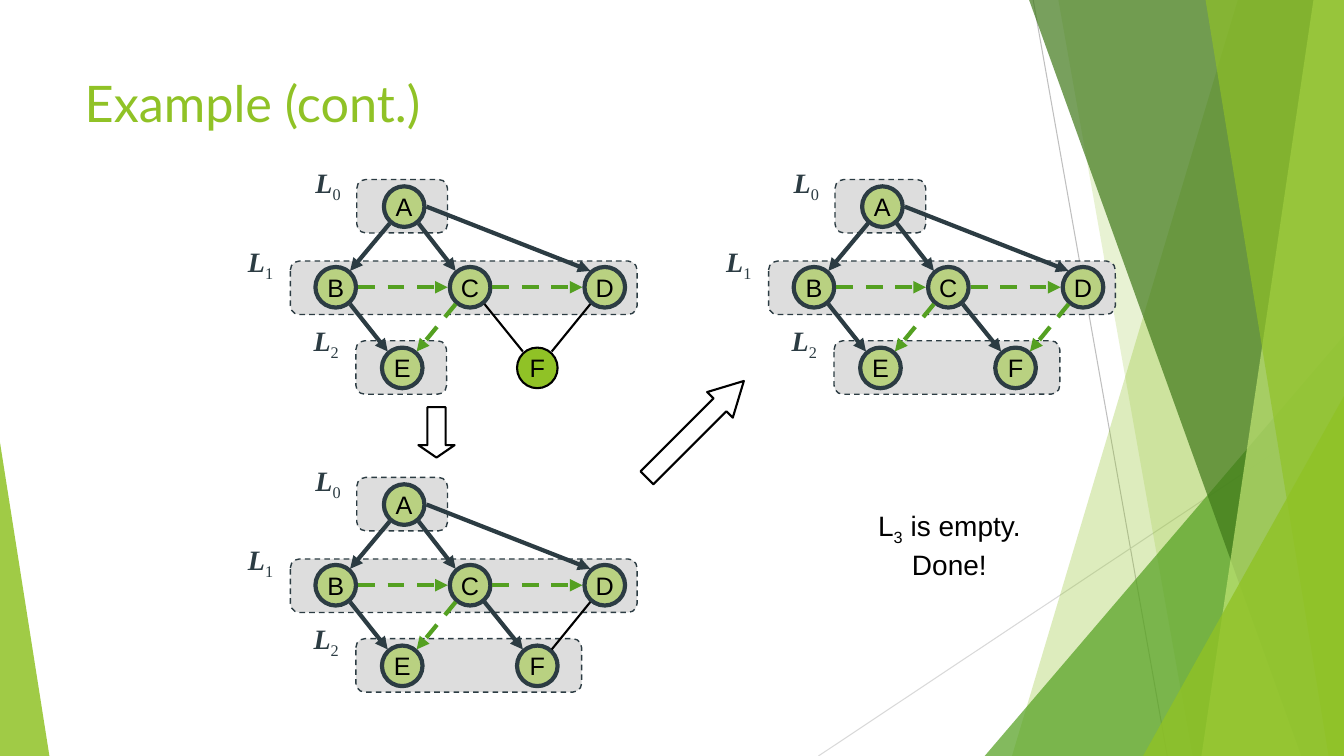
from lxml import etree
from pptx import Presentation
from pptx import util as u
from pptx.dml.color import RGBColor
from pptx.enum import dml, shapes, text
from pptx.oxml.ns import qn

LIME = RGBColor(0x90, 0xC2, 0x26)
GREEN = RGBColor(0x54, 0xA0, 0x21)
FOREST = RGBColor(0x3F, 0x78, 0x19)
PALE_LIME = RGBColor(0xC0, 0xE4, 0x74)
NODE_GREEN = RGBColor(0xB9, 0xD1, 0x81)
SLATE = RGBColor(0x2C, 0x3C, 0x43)
BAND_GREY = RGBColor(0xDD, 0xDD, 0xDD)
RULE_GREY = RGBColor(0xBF, 0xBF, 0xBF)
LIGHT_GREY = RGBColor(0xD9, 0xD9, 0xD9)
BLACK = RGBColor(0, 0, 0)

NODE_SIZE = 29
NODES = {"A": (288.7, 147.6), "B": (239.8, 205.2), "C": (335.8, 205.2),
         "D": (432, 205.2), "E": (287.3, 262.8), "F": (383.8, 262.8)}
BAND_HEIGHT = 38.2
BANDS = [(254.9, 128.2, 64.8), (207.4, 186.5, 247.7), (254.2, 243.4, 64.8)]
WIDE_BAND = 161.3
LEVEL_LABELS = [(216, 114.5), (167.8, 171.4), (214.6, 227.5)]
TREE, CROSS, UNSEEN = (SLATE, 3, False, True), (GREEN, 3, True, True), (BLACK, 1.5, False, False)
EDGES = [("AB", TREE), ("AC", TREE), ("AD", TREE), ("BC", CROSS),
         ("CD", CROSS), ("BE", TREE), ("CE", CROSS)]


class SlideBuilder:
    """Draws styled elements on the current slide, with lengths in points."""

    def __init__(self, presentation):
        self.slide = presentation.slides.add_slide(presentation.slide_layouts[5])
        self.shapes = self.slide.shapes

    def style(self, shape, fill=None, opacity=100, line=None, width=1, dashed=False):
        shape.shadow.inherit = False
        if fill is None:
            shape.fill.background()
        else:
            shape.fill.solid()
            shape.fill.fore_color.rgb = fill
            if opacity < 100:
                color = shape.element.spPr.find(qn("a:solidFill"))[0]
                etree.SubElement(color, qn("a:alpha"), val=str(opacity * 1000))
        if line is None:
            shape.line.fill.background()
        else:
            self.stroke(shape.line, line, width, dashed)

    def stroke(self, line, color, width, dashed):
        line.color.rgb = color
        line.width = u.Pt(width)
        if dashed:
            line.dash_style = dml.MSO_LINE.DASH

    def font(self, run, size, name, color):
        run.font.size = u.Pt(size)
        run.font.name = name
        run.font.color.rgb = color

    def title(self, wording, *box):
        shape = self.shapes.title
        shape.left, shape.top, shape.width, shape.height = map(u.Pt, box)
        frame = shape.text_frame
        frame.text = wording
        frame.auto_size = text.MSO_AUTO_SIZE.NONE
        frame.vertical_anchor = text.MSO_ANCHOR.TOP
        frame.paragraphs[0].alignment = text.PP_ALIGN.LEFT
        self.font(frame.paragraphs[0].runs[0], 36, "Lato", LIME)

    def preset(self, kind, box, adjustments=(), rotation=0, **style):
        shape = self.shapes.add_shape(kind, *map(u.Pt, box))
        for index, value in enumerate(adjustments):
            shape.adjustments[index] = value
        shape.rotation = rotation
        self.style(shape, **style)
        return shape

    def polygon(self, points, fill, opacity):
        corners = [(u.Pt(x), u.Pt(y)) for x, y in points]
        builder = self.shapes.build_freeform(*corners[0])
        builder.add_line_segments(corners[1:], close=True)
        self.style(builder.convert_to_shape(), fill=fill, opacity=opacity)

    def line(self, start, end, color, width, dashed=False, arrow=False):
        connector = self.shapes.add_connector(
            shapes.MSO_CONNECTOR.STRAIGHT, *map(u.Pt, (*start, *end)))
        self.stroke(connector.line, color, width, dashed)
        properties = connector.element.spPr
        if arrow:
            etree.SubElement(properties.find(qn("a:ln")), qn("a:tailEnd"), type="triangle")
        etree.SubElement(properties, qn("a:effectLst"))

    def label(self, parts, box, name, color, emphasis=False):
        frame = self.shapes.add_textbox(*map(u.Pt, box)).text_frame
        frame.word_wrap = True
        paragraph = frame.paragraphs[0]
        paragraph.alignment = text.PP_ALIGN.CENTER
        for index, part in enumerate(parts):
            run = paragraph.add_run()
            run.text = part
            self.font(run, 20, name, color)
            run.font.bold = run.font.italic = emphasis and index == 0
            if index == 1:
                run.font._element.set("baseline", "-25000")

    def node(self, letter, center, fill, line, width):
        x, y = center
        box = (x - NODE_SIZE / 2, y - NODE_SIZE / 2, NODE_SIZE, NODE_SIZE)
        shape = self.preset(shapes.MSO_SHAPE.OVAL, box, fill=fill, line=line, width=width)
        frame = shape.text_frame
        frame.text = letter
        frame.word_wrap = False
        frame.vertical_anchor = text.MSO_ANCHOR.MIDDLE
        frame.paragraphs[0].alignment = text.PP_ALIGN.CENTER
        self.font(frame.paragraphs[0].runs[0], 18, "Arial", BLACK)

    def edge(self, start, end, style):
        (x1, y1), (x2, y2) = start, end
        side = 1 if x2 > x1 else -1
        leave = (16 * side, 0) if abs(x2 - x1) > 2 * abs(y2 - y1) else (10.3 * side, 12)
        arrive = (16 * side, 0) if y1 == y2 else (10.3 * side, 11.7)
        self.line((x1 + leave[0], y1 + leave[1]), (x2 - arrive[0], y2 - arrive[1]), *style)

    def graph(self, dx, dy, c_to_f, d_to_f):
        explored = c_to_f is TREE
        for level, (x, y, width) in enumerate(BANDS):
            if level == 2 and explored:
                width = WIDE_BAND
            self.preset(shapes.MSO_SHAPE.ROUNDED_RECTANGLE, (x + dx, y + dy, width, BAND_HEIGHT),
                        (0.167,), fill=BAND_GREY, line=SLATE, dashed=True)
        centers = {letter: (x + dx, y + dy) for letter, (x, y) in NODES.items()}
        for letter, center in centers.items():
            look = (LIME, BLACK, 1.5) if letter == "F" and not explored else (NODE_GREEN, SLATE, 3)
            self.node(letter, center, *look)
        for (start, end), style in EDGES + [("CF", c_to_f), ("DF", d_to_f)]:
            self.edge(centers[start], centers[end], style)
        for level, (x, y) in enumerate(LEVEL_LABELS):
            self.label(["L", str(level)], (x + dx, y + dy, 36.7, 31),
                       "Times New Roman", SLATE, emphasis=True)

    def backdrop(self):
        triangle = shapes.MSO_SHAPE.ISOSCELES_TRIANGLE
        self.line((738, 0), (833.8, 540), RULE_GREY, 0.75)
        self.line((960, 290.2), (584.6, 540), LIGHT_GREY, 0.75)
        self.facet(884.2, 722.9, LIME, 30)
        self.facet(756, 851.8, LIME, 20)
        self.preset(triangle, (703.4, 239.8, 256.6, 300.2), (1,), fill=GREEN, opacity=72)
        self.facet(735.1, 929.5, FOREST, 70)
        self.facet(938.2, 858.2, PALE_LIME, 70)
        self.facet(861.1, 949, LIME, 65)
        self.preset(triangle, (816.5, 283, 143.5, 257), (1,), fill=LIME, opacity=80)
        self.preset(triangle, (0, 316.1, 35.3, 223.9), (0,), fill=LIME, opacity=85)

    def facet(self, top_x, bottom_x, fill, opacity):
        self.polygon([(top_x, 0), (960, 0), (960, 540), (bottom_x, 540)], fill, opacity)


def main():
    presentation = Presentation()
    presentation.slide_width, presentation.slide_height = u.Pt(960), u.Pt(540)
    builder = SlideBuilder(presentation)
    builder.backdrop()
    builder.title("Example (cont.)", 53.3, 48.2, 676.8, 103.7)
    builder.graph(0, 0, UNSEEN, UNSEEN)
    builder.graph(0, 212.8, TREE, UNSEEN)
    builder.graph(341.6, 0, TREE, CROSS)
    arrow = shapes.MSO_SHAPE.RIGHT_ARROW
    builder.preset(arrow, (447.8, 293.8, 97.9, 25.9), (0.5, 0.932), 315, line=BLACK, width=1.5)
    builder.preset(arrow, (293.8, 295.9, 36, 25.9), (0.5, 0.343), 90, line=BLACK, width=1.5)
    builder.label(["L", "3", " is empty. Done!"], (606.2, 360, 144, 55.4), "Arial", BLACK)
    presentation.save("out.pptx")


if __name__ == "__main__":
    main()
